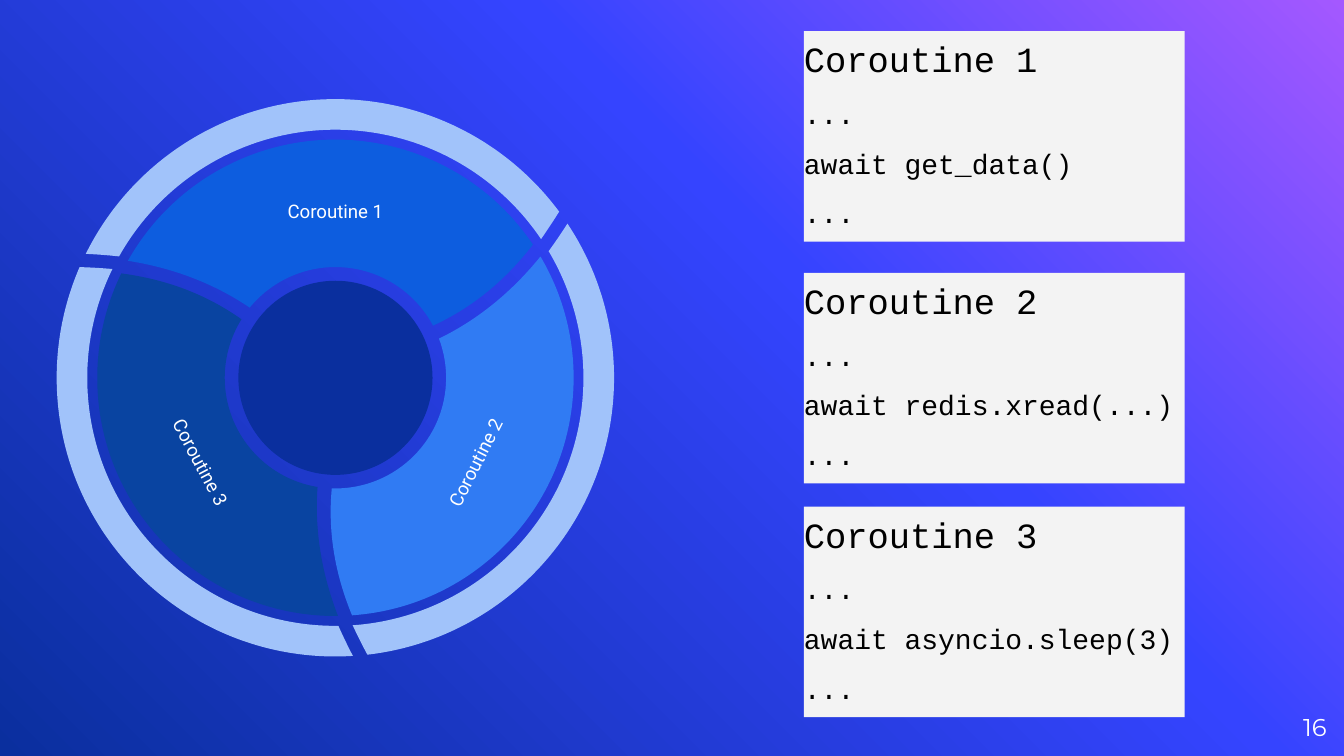
from copy import deepcopy
from math import atan, cos, degrees, hypot, radians, sin, tan

from lxml import etree
from pptx import Presentation
from pptx.dml.color import RGBColor
from pptx.enum.shapes import MSO_SHAPE
from pptx.enum.text import MSO_ANCHOR, PP_ALIGN
from pptx.oxml.ns import qn
from pptx.util import Pt

RECT, OVAL = MSO_SHAPE.RECTANGLE, MSO_SHAPE.OVAL
TOP, MIDDLE = MSO_ANCHOR.TOP, MSO_ANCHOR.MIDDLE
LEFT, CENTER, RIGHT = PP_ALIGN.LEFT, PP_ALIGN.CENTER, PP_ALIGN.RIGHT

WHITE = RGBColor(0xFF, 0xFF, 0xFF)
BLACK = RGBColor(0x00, 0x00, 0x00)
PALE = RGBColor(0xF3, 0xF3, 0xF3)
NAVY = RGBColor(0x0A, 0x2F, 0x9E)
ROYAL = RGBColor(0x35, 0x44, 0xFF)
VIOLET = RGBColor(0xA4, 0x58, 0xFF)
SKY = RGBColor(0xA1, 0xC3, 0xFA)
BLUE = RGBColor(0x0D, 0x5D, 0xDF)
AZURE = RGBColor(0x30, 0x7B, 0xF3)
DEEP = RGBColor(0x09, 0x44, 0xA1)

# Wheel centre, and the radii of its parts from the hub outwards
MID_X, MID_Y = 179.7, 202.4
HUB, INNER, OUTER, RIM_IN, RIM_OUT = 52, 59.3, 127.6, 132.9, 149.3

# Name, awaited call, wedge colour, label left, top and turn, panel top
TASKS = [
    ("Coroutine 1", "await get_data()", BLUE, 117.4, 90.7, 0, 16.7),
    ("Coroutine 2", "await redis.xread(...)", AZURE, 192.24, 225.36, 297, 146.2),
    ("Coroutine 3", "await asyncio.sleep(3)", DEEP, 45.36, 225.36, 62.1, 271.4),
]


def paint(shape, color):
    shape.fill.solid()
    shape.fill.fore_color.rgb = color
    shape.line.fill.background()
    shape.shadow.inherit = False


def set_back(slide):
    """Three-colour diagonal gradient, from top right to bottom left."""
    fill = slide.background.fill
    fill.gradient()
    fill.gradient_angle = 225
    stops = slide.element.find(".//" + qn("a:gsLst"))
    stops.append(deepcopy(stops[-1]))
    looks = [(VIOLET, 0), (ROYAL, 0.39), (NAVY, 1)]
    for stop, (color, place) in zip(fill.gradient_stops, looks):
        stop.color.rgb = color
        stop.position = place


def arc(start, end, reach):
    """Curve points (angle, radius) of an arc, cut at each quarter turn."""
    low, high = sorted((start, end))
    cuts = [low, *(q for q in range(0, 720, 90) if low < q < high), high]
    if end < start:
        cuts.reverse()
    points = []
    for a, b in zip(cuts, cuts[1:]):
        pull = 4 / 3 * tan(radians(b - a) / 4)
        lean, far = degrees(atan(pull)), reach * hypot(1, pull)
        points += [(a + lean, far), (b - lean, far), (b, reach)]
    return points


def edge(start, end):
    """Curve points of a plain edge between two (angle, radius) pairs."""
    return [tuple(p + (q - p) * i / 3 for p, q in zip(start, end))
            for i in (1, 2, 3)]


def add_outline(shapes, points, color):
    """Closed outline; every three points make one cubic curve."""
    spots = [(Pt(MID_X + r * cos(radians(a))), Pt(MID_Y + r * sin(radians(a))))
             for a, r in points]
    pen = shapes.build_freeform(*spots[-1])
    pen.add_line_segments(spots, close=True)
    shape = pen.convert_to_shape()
    lines = shape.element.findall(".//" + qn("a:lnTo"))
    for first, *rest in zip(lines[::3], lines[1::3], lines[2::3]):
        curve = etree.Element(qn("a:cubicBezTo"))
        first.addprevious(curve)
        for line in (first, *rest):
            curve.append(line[0])
            line.getparent().remove(line)
    paint(shape, color)


def add_rim(shapes, turn):
    a, b, c, d = (angle + turn for angle in (206.4, 323.4, 326, 209.3))
    points = arc(a, b, RIM_OUT) + edge((b, RIM_OUT), (c, RIM_IN))
    points += arc(c, d, RIM_IN) + edge((d, RIM_IN), (a, RIM_OUT))
    add_outline(shapes, points, SKY)


def add_wedge(shapes, turn, color):
    a, b, c, d = (angle + turn for angle in (209.4, 326, 331.9, 219.3))
    points = arc(a, b, OUTER)
    points += [(329.9 + turn, 106.1), (332.9 + turn, 83.7), (c, INNER)]
    points += arc(c, d, INNER)
    points += [(217.8 + turn, 83.4), (213.8 + turn, 106.1), (a, OUTER)]
    add_outline(shapes, points, color)


def add_hub(shapes):
    hub = shapes.add_shape(OVAL, Pt(MID_X - HUB), Pt(MID_Y - HUB),
                           Pt(2 * HUB), Pt(2 * HUB))
    paint(hub, NAVY)


def set_frame(shape, anchor, inset):
    frame = shape.text_frame
    frame.word_wrap = True
    frame.vertical_anchor = anchor
    frame.margin_left = frame.margin_right = Pt(inset)
    frame.margin_top = frame.margin_bottom = Pt(inset)
    return frame


def set_text(para, text, font, size, color, align):
    para.text = text
    para.alignment = align
    para.font.name = font
    para.font.size = Pt(size)
    para.font.color.rgb = color


def add_label(shapes, text, box, font, size, align, inset=0, turn=0):
    label = shapes.add_textbox(*map(Pt, box))
    label.rotation = turn
    frame = set_frame(label, MIDDLE, inset)
    set_text(frame.paragraphs[0], text, font, size, WHITE, align)


def add_panel(shapes, top, name, call):
    panel = shapes.add_shape(RECT, Pt(430.7), Pt(top), Pt(204), Pt(112.8))
    paint(panel, PALE)
    frame = set_frame(panel, TOP, 0)
    for i, text in enumerate([name, "...", call, "..."]):
        para = frame.add_paragraph() if i else frame.paragraphs[0]
        set_text(para, text, "Courier New", 15 if i else 19, BLACK, LEFT)
        para.line_spacing = 1.15
        para.space_before = Pt(6)


def main():
    deck = Presentation()
    deck.slide_width, deck.slide_height = Pt(720), Pt(405)
    slide = deck.slides.add_slide(deck.slide_layouts[6])
    shapes = slide.shapes
    set_back(slide)

    # Slide number
    add_label(shapes, "16", (667.5, 373.7, 43.2, 31), "Montserrat", 13, RIGHT)

    # Wheel: each coroutine takes a third of the turn
    add_hub(shapes)
    for i, (name, _, color, left, top, turn, _) in enumerate(TASKS):
        third = shapes.add_group_shape().shapes
        add_rim(third, 120 * i)
        add_wedge(third, 120 * i, color)
        add_label(third, name, (left, top, 124.56, 44.64), "Roboto", 10,
                  CENTER, 7.2, turn)

    # Code panels
    for name, call, *_, top in TASKS:
        add_panel(shapes, top, name, call)

    deck.save("out.pptx")


if __name__ == "__main__":
    main()
